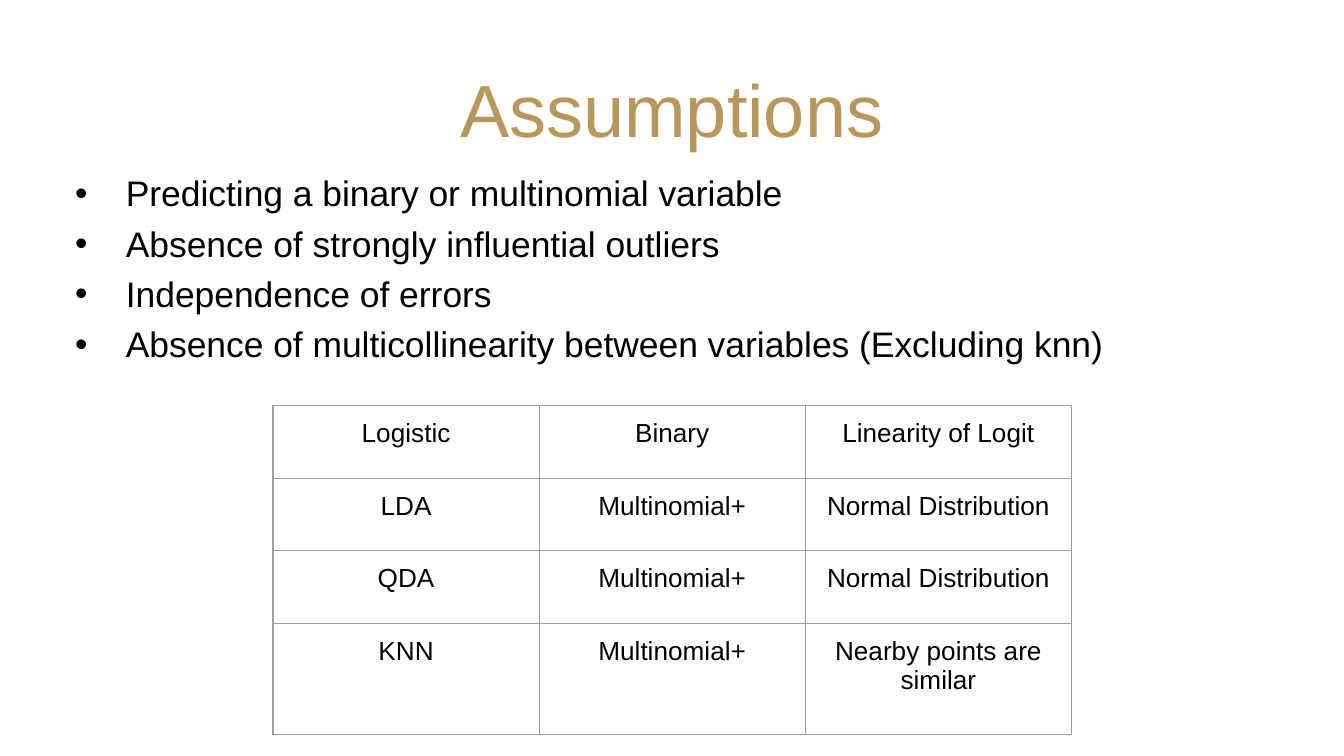
from typing import NamedTuple

from lxml.etree import SubElement
from pptx import Presentation
from pptx.dml.color import RGBColor
from pptx.enum.text import MSO_ANCHOR, PP_ALIGN
from pptx.oxml.ns import qn
from pptx.util import Cm, Pt

COLORS = {"title": "B9975B", "text": "000000", "border": "9E9E9E"}
FONT = "Arial"
BORDER_WIDTH = Pt(0.75)


class Box(NamedTuple):
    left: float
    top: float
    width: float
    height: float

    def lengths(self) -> list:
        return [Cm(value) for value in self]


class ModelRow(NamedTuple):
    model: str
    response: str
    assumption: str


TITLE_BOX = Box(0.86, 1.24, 23.67, 1.6)
ASSUMPTIONS_BOX = Box(0.86, 3.2, 22.66, 3.94)
ROW_HEIGHTS = [1.37, 1.37, 1.37, 2.11]
COLUMN_WIDTH = 5.03
MODELS_BOX = Box(5.16, 7.67, 3 * COLUMN_WIDTH, sum(ROW_HEIGHTS))

ASSUMPTIONS = [
    "Predicting a binary or multinomial variable",
    "Absence of strongly influential outliers",
    "Independence of errors",
    "Absence of multicollinearity between variables (Excluding knn)",
]
MODELS = [
    ModelRow("Logistic", "Binary", "Linearity of Logit"),
    ModelRow("LDA", "Multinomial+", "Normal Distribution"),
    ModelRow("QDA", "Multinomial+", "Normal Distribution"),
    ModelRow("KNN", "Multinomial+", "Nearby points are similar"),
]


def write(paragraph, text: str, *, size: float, color: str = "text",
          align=PP_ALIGN.LEFT) -> None:
    paragraph.alignment = align
    run = paragraph.add_run()
    run.text = text
    run.font.name = FONT
    run.font.size = Pt(size)
    run.font.color.rgb = RGBColor.from_string(COLORS[color])


def add_bullet(paragraph) -> None:
    properties = paragraph._p.get_or_add_pPr()
    properties.set("marL", str(Cm(1.27)))
    properties.set("indent", str(-Cm(0.96)))
    color = SubElement(properties, qn("a:buClr"))
    SubElement(color, qn("a:srgbClr"), val=COLORS["text"])
    SubElement(properties, qn("a:buFont"), typeface=FONT)
    SubElement(properties, qn("a:buChar"), char="•")


def add_borders(cell) -> None:
    properties = cell._tc.get_or_add_tcPr()
    for side in ("lnL", "lnR", "lnT", "lnB"):
        line = SubElement(properties, qn(f"a:{side}"), w=str(BORDER_WIDTH))
        fill = SubElement(line, qn("a:solidFill"))
        SubElement(fill, qn("a:srgbClr"), val=COLORS["border"])


def set_insets(frame, side: float, end: float) -> None:
    frame.margin_left = frame.margin_right = Cm(side)
    frame.margin_top = frame.margin_bottom = Cm(end)


def draw_title(slide, text: str) -> None:
    title = slide.shapes.title
    title.left, title.top, title.width, title.height = TITLE_BOX.lengths()
    frame = title.text_frame
    set_insets(frame, 0.25, 0.13)
    frame.vertical_anchor = MSO_ANCHOR.MIDDLE
    write(frame.paragraphs[0], text, size=39.6, color="title", align=PP_ALIGN.CENTER)


def draw_assumptions(slide, assumptions: list[str]) -> None:
    frame = slide.shapes.add_textbox(*ASSUMPTIONS_BOX.lengths()).text_frame
    frame.word_wrap = True
    set_insets(frame, 0.25, 0.13)
    for index, assumption in enumerate(assumptions):
        paragraph = frame.add_paragraph() if index else frame.paragraphs[0]
        paragraph.line_spacing = 0.9
        paragraph.space_before = Pt(6.4)
        add_bullet(paragraph)
        write(paragraph, assumption, size=19)


def draw_models(slide, models: list[ModelRow]) -> None:
    table = slide.shapes.add_table(
        len(models), len(ModelRow._fields), *MODELS_BOX.lengths()).table
    table.first_row = table.horz_banding = False
    for column in table.columns:
        column.width = Cm(COLUMN_WIDTH)
    for row, height, model in zip(table.rows, ROW_HEIGHTS, models):
        row.height = Cm(height)
        for cell, text in zip(row.cells, model):
            set_insets(cell, 0.25, 0.25)
            add_borders(cell)
            cell.fill.background()
            write(cell.text_frame.paragraphs[0], text, size=14, align=PP_ALIGN.CENTER)


def main() -> None:
    presentation = Presentation()
    presentation.slide_width, presentation.slide_height = Cm(25.4), Cm(14.29)
    slide = presentation.slides.add_slide(presentation.slide_layouts[5])
    draw_title(slide, "Assumptions")
    draw_models(slide, MODELS)
    draw_assumptions(slide, ASSUMPTIONS)
    presentation.save("out.pptx")


if __name__ == "__main__":
    main()
